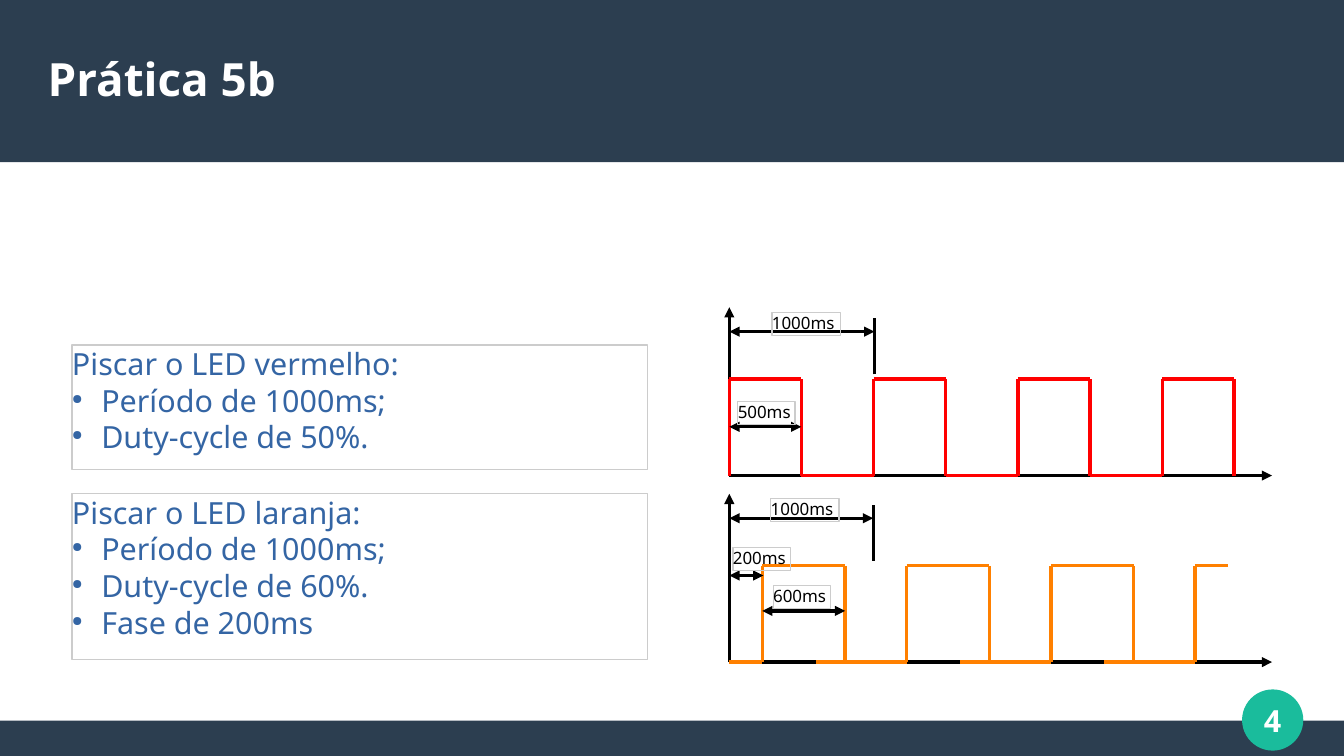
from lxml import etree
from pptx import Presentation
from pptx.dml.color import RGBColor
from pptx.enum import shapes, text
from pptx.oxml import ns
from pptx.util import Inches, Pt

NAVY = RGBColor(0x2C, 0x3E, 0x50)
TEAL = RGBColor(0x1A, 0xBC, 0x9C)
BLUE = RGBColor(0x34, 0x65, 0xA4)
GRAY = RGBColor(0xCC, 0xCC, 0xCC)
RED = RGBColor(0xFF, 0x00, 0x00)
ORANGE = RGBColor(0xFF, 0x80, 0x00)
BLACK = RGBColor(0x00, 0x00, 0x00)
WHITE = RGBColor(0xFF, 0xFF, 0xFF)

FONT = "Noto Sans"
ORIGIN = 5.98
PERIOD = 3.55 / 3
PULSES = 4
PULSE_HEIGHT = 0.79


def add_element(parent, tag, **attributes):
    return etree.SubElement(parent, ns.qn(tag), **attributes)


def add_bullet(paragraph, color):
    properties = paragraph._p.get_or_add_pPr()
    properties.set("marL", str(Inches(0.24)))
    properties.set("indent", str(-Inches(0.24)))
    add_element(add_element(properties, "a:buClr"), "a:srgbClr", val=str(color))
    add_element(properties, "a:buSzPct", val="45000")
    add_element(properties, "a:buChar", char="●")


def write_text(shape, lines, size, color, bold=False, bulleted=False,
               align=text.PP_ALIGN.LEFT, anchor=text.MSO_ANCHOR.TOP):
    frame = shape.text_frame
    frame.word_wrap = True
    frame.auto_size = text.MSO_AUTO_SIZE.NONE
    frame.vertical_anchor = anchor
    frame.margin_left = frame.margin_right = 0
    frame.margin_top = frame.margin_bottom = 0
    for index, line in enumerate(lines):
        paragraph = frame.add_paragraph() if index else frame.paragraphs[0]
        paragraph.alignment = align
        if bulleted and index:
            add_bullet(paragraph, color)
        run = paragraph.add_run()
        run.text = line
        run.font.name = FONT
        run.font.size = Pt(size)
        run.font.bold = bold
        run.font.color.rgb = color


def add_box(slide, left, top, width, height, fill=None, line=None,
            line_width=0, kind=shapes.MSO_SHAPE.RECTANGLE):
    shape = slide.shapes.add_shape(
        kind, Inches(left), Inches(top), Inches(width), Inches(height))
    shape.shadow.inherit = False
    if fill is None:
        shape.fill.background()
    else:
        shape.fill.solid()
        shape.fill.fore_color.rgb = fill
    if line is None:
        shape.line.fill.background()
    else:
        shape.line.color.rgb = line
        shape.line.width = Pt(line_width)
    return shape


def add_line(slide, x1, y1, x2, y2, color=BLACK, arrows=()):
    connector = slide.shapes.add_connector(
        shapes.MSO_CONNECTOR.STRAIGHT,
        Inches(x1), Inches(y1), Inches(x2), Inches(y2))
    connector.line.color.rgb = color
    connector.line.width = 0
    outline = connector.line._get_or_add_ln()
    for end in arrows:
        add_element(outline, f"a:{end}", type="triangle")
    add_element(connector._element.spPr, "a:effectLst")


def add_axes(slide, baseline):
    for x, y in ((ORIGIN, baseline - 1.38), (10.43, baseline)):
        add_line(slide, ORIGIN, baseline, x, y, arrows=["tailEnd"])


def add_wave(slide, baseline, color, duty, end, phase=0.0, overlap=0.0):
    top = baseline - PULSE_HEIGHT
    if phase:
        add_line(slide, ORIGIN, baseline, ORIGIN + phase, baseline, color)
    for pulse in range(PULSES):
        rise = ORIGIN + phase + pulse * PERIOD
        fall = rise + duty
        add_line(slide, rise, baseline, rise, top, color)
        add_line(slide, rise, top, min(fall, end), top, color)
        if fall <= end:
            add_line(slide, fall, top, fall, baseline, color)
        if pulse < PULSES - 1:
            add_line(slide, fall - overlap, baseline, rise + PERIOD, baseline, color)


def add_dimension(slide, label, start, end, y, label_left, label_top, label_width):
    add_line(slide, start, y, end, y, arrows=["headEnd", "tailEnd"])
    box = add_box(slide, label_left, label_top, label_width, 0.19, line=GRAY)
    write_text(box, [label], size=10, color=BLACK)


def add_period(slide, baseline, end, label_left):
    add_line(slide, end, baseline - 0.83, end, baseline - 1.29)
    add_dimension(slide, "1000ms", ORIGIN, end, baseline - 1.18,
                  label_left, baseline - 1.34, 0.56)


def add_task(slide, top, height, lines):
    box = add_box(slide, 0.59, top, 4.72, height, line=GRAY)
    write_text(box, lines, size=18, color=BLUE, bulleted=True)


def add_frame(slide):
    title = slide.shapes.title
    for top, height in ((5.91, 0.3), (0, 1.33)):
        band = add_box(slide, 0, top, 11.02, height, fill=NAVY)
        title.element.addprevious(band.element)
    title.left, title.top = Inches(0.39), Inches(0.25)
    title.width, title.height = Inches(10.24), Inches(0.79)
    write_text(title, ["Prática 5b"], size=27, color=WHITE, bold=True,
               anchor=text.MSO_ANCHOR.MIDDLE)
    badge = add_box(slide, 10.19, 5.66, 0.49, 0.49, fill=TEAL, line=TEAL,
                    line_width=0.85, kind=shapes.MSO_SHAPE.OVAL)
    write_text(badge, ["4"], size=18, color=WHITE, bold=True,
               align=text.PP_ALIGN.CENTER, anchor=text.MSO_ANCHOR.MIDDLE)


def main():
    presentation = Presentation()
    presentation.slide_width = Inches(11.02)
    presentation.slide_height = Inches(6.2)
    slide = presentation.slides.add_slide(presentation.slide_layouts[5])
    add_frame(slide)

    add_task(slide, 2.83, 1.02, [
        "Piscar o LED vermelho:", "Período de 1000ms;", "Duty-cycle de 50%."])
    add_axes(slide, 3.9)
    add_wave(slide, 3.9, RED, duty=0.59, end=10.13)
    add_period(slide, 3.9, 7.17, 6.33)
    add_dimension(slide, "500ms", ORIGIN, 6.57, 3.5, 6.05, 3.29, 0.47)

    add_task(slide, 4.05, 1.36, [
        "Piscar o LED laranja:", "Período de 1000ms;", "Duty-cycle de 60%.",
        "Fase de 200ms"])
    add_axes(slide, 5.43)
    add_wave(slide, 5.43, ORANGE, duty=0.68, end=10.07, phase=0.27, overlap=0.24)
    add_period(slide, 5.43, 7.16, 6.32)
    add_dimension(slide, "600ms", 6.25, 6.93, 5.01, 6.34, 4.8, 0.47)
    add_dimension(slide, "200ms", ORIGIN, 6.26, 4.72, 6.01, 4.49, 0.47)

    presentation.save("out.pptx")


if __name__ == "__main__":
    main()
